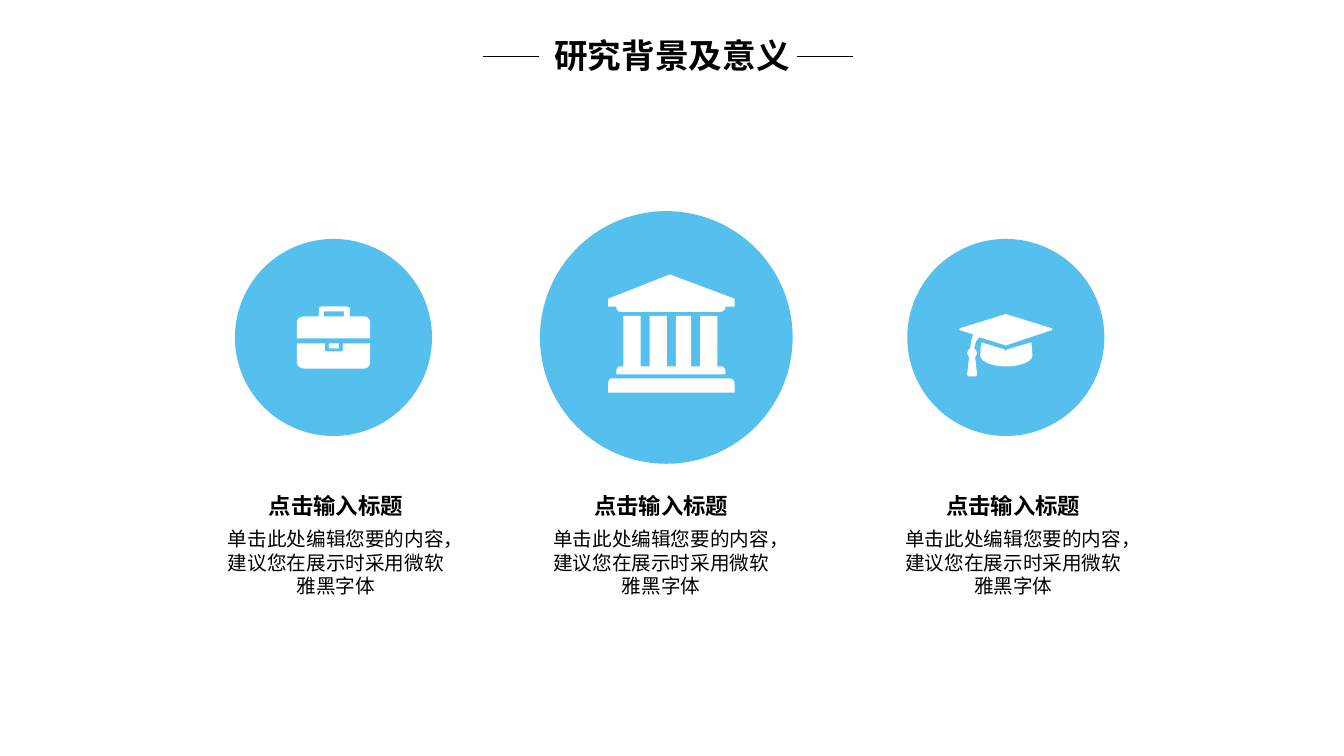
import math
from dataclasses import dataclass

import pptx
import pptx.dml.color
import pptx.enum.lang
import pptx.enum.shapes
import pptx.enum.text
import pptx.oxml
import pptx.util


@dataclass(frozen=True)
class Theme:
    sky: str = "55C0EE"
    ink: str = "000000"
    paper: str = "FFFFFF"
    latin: str = "Arial"
    asian: str = "Noto Sans CJK SC"
    title: int = 24
    head: int = 16
    body: int = 14
    rule: int = 1
    pitch: float = 1.2


@dataclass(frozen=True)
class Box:
    left: float
    top: float
    width: float
    height: float

    def share(self, left, top, width, height):
        return Box(self.left + left * self.width, self.top + top * self.height,
                   width * self.width, height * self.height)

    def around(self, x, y, width, height):
        return Box(self.left + x * self.width - width / 2,
                   self.top + y * self.height - height / 2, width, height)

    def emu(self):
        return [pptx.util.Inches(n) for n in (self.left, self.top, self.width, self.height)]


THEME = Theme()
PAGE = Box(0, 0, 13.33, 7.5)
FINE = 100


def tint(code):
    return pptx.dml.color.RGBColor.from_string(code)


def apply(target, values):
    for name, value in values.items():
        setattr(target, name, value)


def node(tag):
    return pptx.oxml.parse_xml(
        f'<a:{tag} xmlns:a="http://schemas.openxmlformats.org/drawingml/2006/main"/>')


def paint(shape, code):
    shape.shadow.inherit = False
    shape.fill.solid()
    shape.fill.fore_color.rgb = tint(code)
    shape.line.fill.background()


def write(shape, text, size, face, bold=False):
    frame = shape.text_frame
    apply(frame, {"word_wrap": True,
                  "auto_size": pptx.enum.text.MSO_AUTO_SIZE.NONE,
                  "vertical_anchor": pptx.enum.text.MSO_ANCHOR.TOP})
    line = frame.paragraphs[0]
    apply(line, {"alignment": pptx.enum.text.PP_ALIGN.CENTER,
                 "line_spacing": pptx.util.Pt(size * THEME.pitch)})
    run = line.add_run()
    run.text = text
    apply(run.font, {"size": pptx.util.Pt(size), "bold": bold, "name": face,
                     "language_id": pptx.enum.lang.MSO_LANGUAGE_ID.SIMPLIFIED_CHINESE})
    run.font.color.rgb = tint(THEME.ink)
    east = node("ea")
    east.set("typeface", THEME.asian)
    run._r.get_or_add_rPr().append(east)


def arc(x, y, wide, high, start, end, steps=8):
    turns = [math.radians(start + (end - start) * i / steps) for i in range(steps + 1)]
    return [(x + wide * math.cos(t), y + high * math.sin(t)) for t in turns]


def rect(left, top, right, low):
    return [(left, top), (right, top), (right, low), (left, low)]


def temple():
    roof = [(0, 32), (0, 24), (61, 0), (125, 24), (125, 32),
            *arc(111, 32, 5, 5, 0, 90), *arc(12, 32, 4, 5, 90, 180)]
    posts = [(15, 32), (41, 58), (67, 82), (91, 108)]
    hall = [*arc(12, 96, 4, 5, 180, 270),
            *[dot for left, right in posts
              for dot in ((left, 91), (left, 41), (right, 41), (right, 91))],
            *arc(111, 96, 5, 5, 270, 360), (116, 99), (8, 99)]
    base = [(0, 117), *arc(3, 108, 3, 5, 180, 270),
            *arc(120, 108, 5, 5, 270, 360), (125, 117)]
    return 125, 117, [roof, hall, base]


def case():
    lid = [(73, 32), (0, 32), *arc(8, 16, 8, 6, 180, 270), (22, 10),
           *arc(26, 3, 4, 3, 180, 270), *arc(48, 3, 5, 3, 270, 360),
           (53, 10), *arc(67, 16, 6, 6, 270, 360)]
    body = [(73, 37), *arc(67, 56, 6, 6, 0, 90), *arc(8, 56, 8, 6, 90, 180),
            (0, 37), (28, 37), *arc(30, 43, 2, 2, 180, 90),
            *arc(44, 43, 2, 2, 90, 0), (46, 37)]
    return 73, 62, [lid, body, rect(27, 5, 47, 10), rect(32, 37, 42, 42)]


def cap():
    board = [(92, 16), (47, 31), (46, 31), (20, 23), (17, 27), (15, 34),
             (17, 36), (18, 39), (16, 43), (18, 60), (17, 62), (9, 62),
             (8, 60), (10, 43), (8, 39), (9, 36), (11, 34), (12, 27), (14, 20),
             (1, 16), (0, 15), (1, 14), (46, 0), (47, 0), (92, 14), (93, 15)]
    bowl = [*arc(47, 41, 26, 11, 0, 180, 24), (22, 28), (45, 35), (46, 37),
            (48, 35), (72, 28)]
    return 93, 62, [board, bowl]


def icon(slide, zone, x, y, share, sign):
    wide, high, paths = sign
    width = share * zone.width
    left, top, span, _ = zone.around(x, y, width, width * high / wide).emu()
    fine = [[(px * FINE, py * FINE) for px, py in path] for path in paths]
    pen = slide.shapes.build_freeform(*fine[0][0], scale=span / (wide * FINE))
    pen.add_line_segments(fine[0][1:], close=True)
    for path in fine[1:]:
        pen.move_to(*path[0])
        pen.add_line_segments(path[1:], close=True)
    paint(pen.convert_to_shape(left, top), THEME.paper)


def header(slide, zone, text):
    title = slide.shapes.title
    apply(title, dict(zip(("left", "top", "width", "height"), zone.emu())))
    write(title, text, THEME.title, THEME.asian, True)
    for start, end in ((0.06, 0.19), (0.79, 0.92)):
        left, top, width, _ = zone.share(start, 0.5, end - start, 0).emu()
        rule = slide.shapes.add_connector(
            pptx.enum.shapes.MSO_CONNECTOR.STRAIGHT, left, top, left + width, top)
        rule.line.color.rgb = tint(THEME.ink)
        rule.line.width = pptx.util.Pt(THEME.rule)
        rule._element.spPr.append(node("effectLst"))


def column(slide, zone, mid, size, sign, share, shift):
    wide = size * zone.width
    disc = slide.shapes.add_shape(pptx.enum.shapes.MSO_SHAPE.OVAL,
                                  *zone.around(mid, 0.32, wide, wide).emu())
    paint(disc, THEME.sky)
    icon(slide, zone, mid + shift[0], 0.32 + shift[1], share, sign)
    head = slide.shapes.add_textbox(*zone.share(0.1, 0.7, 0.8, 0.09).emu())
    write(head, "点击输入标题", THEME.head, THEME.latin, True)
    body = slide.shapes.add_textbox(*zone.share(0, 0.79, 1, 0.21).emu())
    write(body, "单击此处编辑您要的内容，建议您在展示时采用微软雅黑字体",
          THEME.body, THEME.latin)


def main():
    deck = pptx.Presentation()
    apply(deck, {"slide_width": pptx.util.Inches(PAGE.width),
                 "slide_height": pptx.util.Inches(PAGE.height)})
    slide = deck.slides.add_slide(deck.slide_layouts.get_by_name("Title Only"))
    header(slide, PAGE.share(0.34, 0.04, 0.32, 0.07), "研究背景及意义")
    columns = [(0.156, 0.49, 0.78, case(), 0.29, (0, 0)),
               (0.398, 0.52, 1, temple(), 0.5, (0.02, -0.01)),
               (0.66, 0.47, 0.78, cap(), 0.37, (0, 0.02))]
    for left, *traits in columns:
        column(slide, PAGE.share(left, 0.28, 0.188, 0.52), *traits)
    deck.save("out.pptx")


if __name__ == "__main__":
    main()
